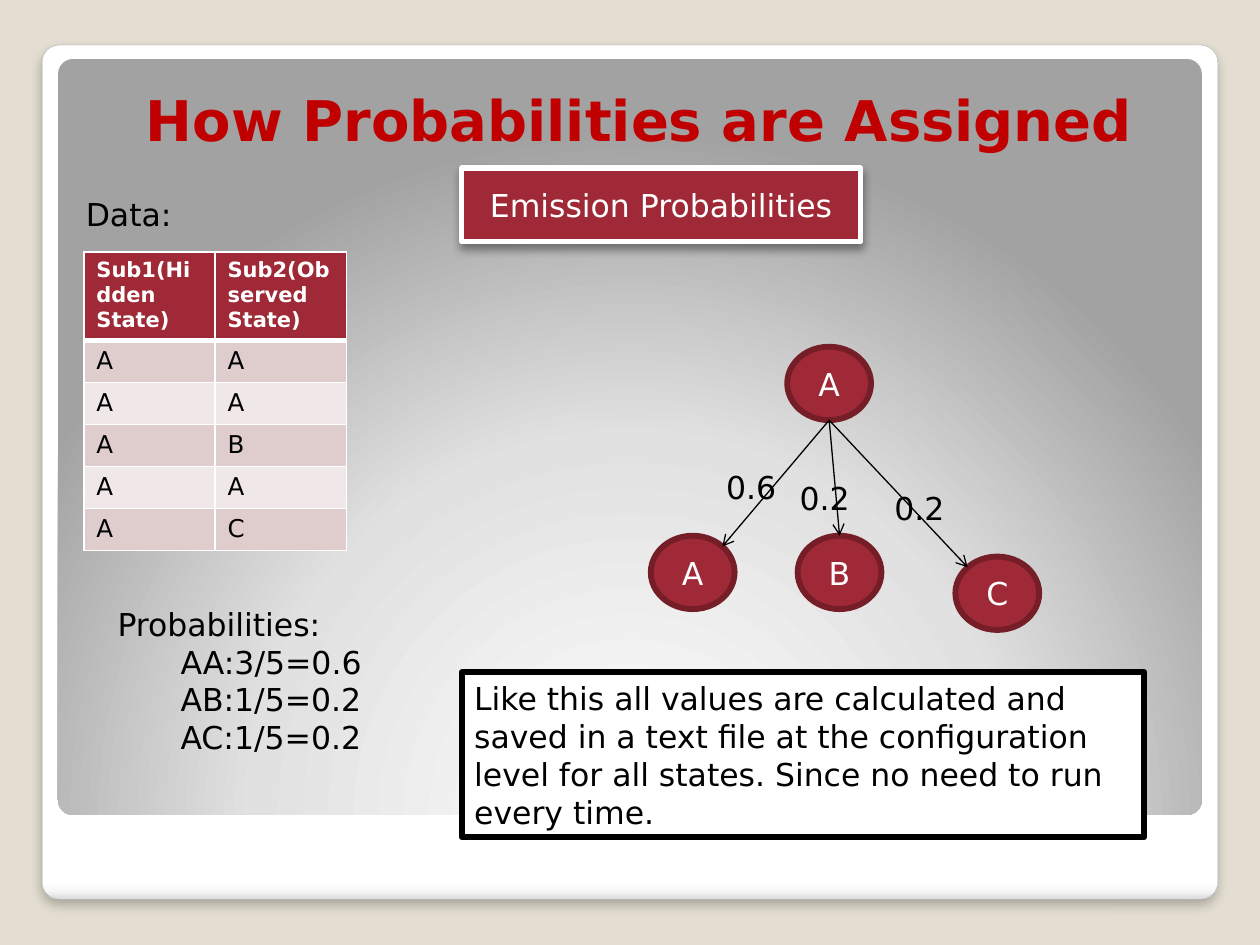
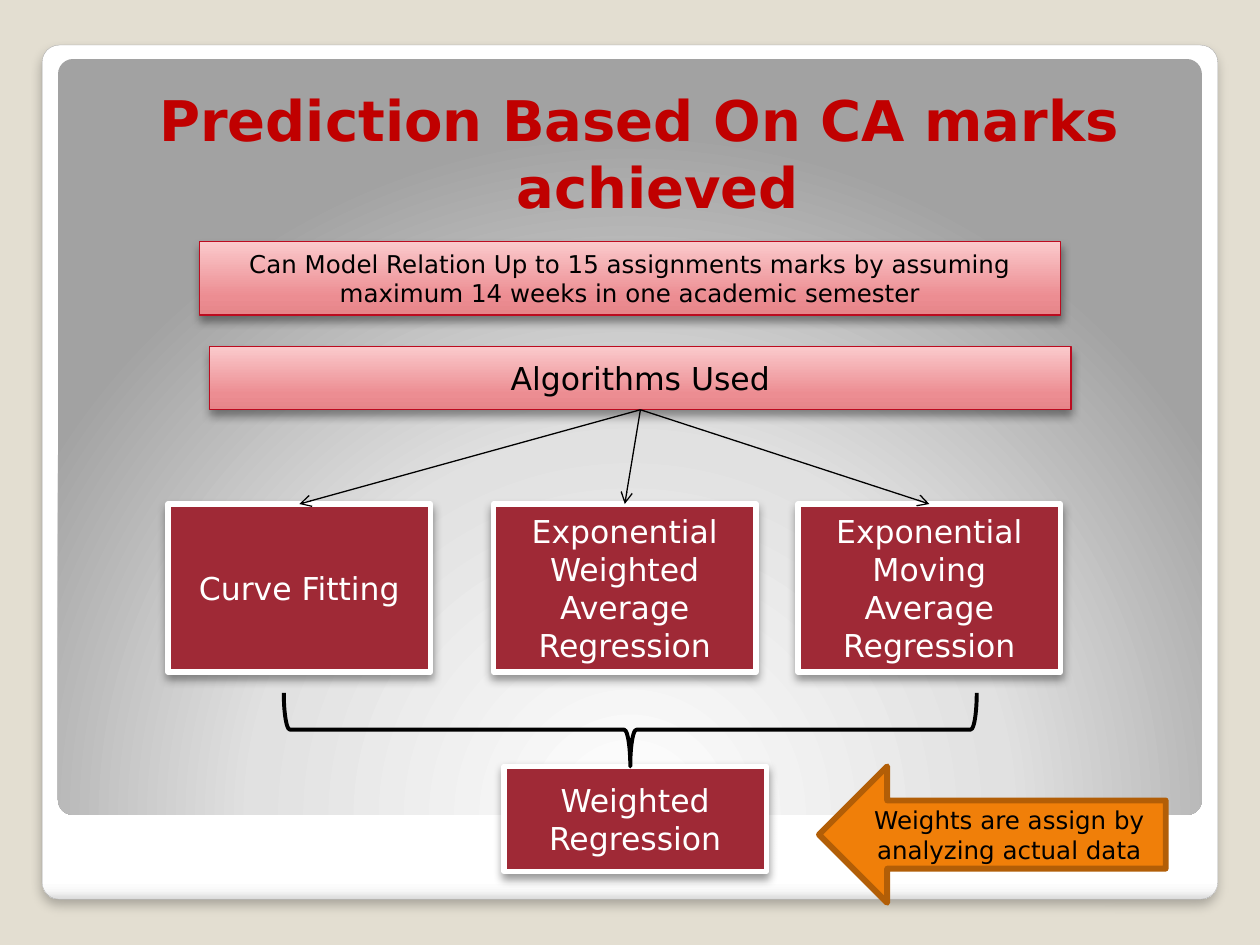
import pptx
import pptx.util
import pptx.dml.color
import pptx.enum.shapes
import pptx.enum.text
import pptx.oxml
import pptx.oxml.ns
import math
import lxml.etree

Cm = pptx.util.Cm
Pt = pptx.util.Pt
SHAPES = pptx.enum.shapes.MSO_SHAPE
ALIGN = pptx.enum.text.PP_ALIGN
ANCHOR = pptx.enum.text.MSO_ANCHOR
qn = pptx.oxml.ns.qn

FONT = "DejaVu Sans"
COLORS = {
    "sand": "E3DED1",
    "white": "FFFFFF",
    "black": "000000",
    "frame_edge": "A4A4A4",
    "title": "C00000",
    "crimson": "9F2936",
    "dark_crimson": "761E28",
    "rose_edge": "BC0B1F",
    "orange": "F07F09",
    "dark_orange": "B25E07",
    "row_odd": "DFCDCE",
    "row_even": "F0E8E8",
}
FRAME_STOPS = [(0, "FFFFFF"), (98, "FFFFFF"), (99, "F7F7F7"), (100, "DADADA")]
PANEL_STOPS = [(0, "FFFFFF"), (55, "E1E1E1"), (100, "A2A2A2")]
ROSE_STOPS = [(0, "E68589"), (25, "EC8D92"), (100, "FBCACC")]
PANEL_GLOW = ('<a:path path="circle">'
              '<a:fillToRect l="50000" t="175000" r="50000" b="-75000"/></a:path>')
FRAME_SHADOW = (25, 6, 4)
CARD_SHADOW = (40, 5.2, 3)


def color(name):
    return pptx.dml.color.RGBColor.from_string(COLORS[name])


def drawing(tag, body, attributes=""):
    space = "http://schemas.openxmlformats.org/drawingml/2006/main"
    return pptx.oxml.parse_xml(f'<a:{tag} xmlns:a="{space}" {attributes}>{body}</a:{tag}>')


def linear(degrees):
    return f'<a:lin ang="{degrees * 60000}" scaled="0"/>'


def paint_gradient(shape, stops, direction):
    shape.fill.background()
    marks = "".join(f'<a:gs pos="{at * 1000}"><a:srgbClr val="{tone}"/></a:gs>'
                    for at, tone in stops)
    properties = shape.element.spPr
    gradient = drawing("gradFill", f"<a:gsLst>{marks}</a:gsLst>{direction}", 'rotWithShape="1"')
    properties.replace(properties.find(qn("a:noFill")), gradient)


def cast_shadow(shape, alpha, blur, distance):
    tone = f'<a:srgbClr val="{COLORS["black"]}"><a:alpha val="{alpha * 1000}"/></a:srgbClr>'
    shadow = drawing("outerShdw", tone,
                     f'blurRad="{Pt(blur)}" dist="{Pt(distance)}" dir="5400000" rotWithShape="0"')
    shape.element.spPr.find(qn("a:effectLst")).append(shadow)


def write(frame, lines, size, tone, align=ALIGN.LEFT, bold=False):
    frame.word_wrap = True
    for number, line in enumerate(lines):
        para = frame.paragraphs[0] if number == 0 else frame.add_paragraph()
        para.text = line
        para.alignment = align
        para.font.name = FONT
        para.font.size = Pt(size)
        para.font.bold = bold
        para.font.color.rgb = color(tone)


def indent(para, left, first=0):
    properties = para._p.get_or_add_pPr()
    properties.set("marL", str(Cm(left)))
    properties.set("indent", str(Cm(first)))


def add_text(page, box, lines, size=18, tone="black", **style):
    text_box = page.shapes.add_textbox(*map(Cm, box))
    write(text_box.text_frame, lines, size, tone, **style)
    return text_box.text_frame


def add_block(page, box, kind, fill=None, line=None, width=1, stops=None, direction=None,
              shadow=None, text=None, size=18, tone="white", align=ALIGN.CENTER):
    shape = page.shapes.add_shape(kind, *map(Cm, box))
    shape.shadow.inherit = False
    if stops:
        paint_gradient(shape, stops, direction)
    elif fill:
        shape.fill.solid()
        shape.fill.fore_color.rgb = color(fill)
    else:
        shape.fill.background()
    if line:
        shape.line.color.rgb = color(line)
        shape.line.width = Pt(width)
    else:
        shape.line.fill.background()
    if shadow:
        cast_shadow(shape, *shadow)
    if text:
        shape.text_frame.vertical_anchor = ANCHOR.MIDDLE
        write(shape.text_frame, [text], size, tone, align)
    return shape


def add_card(page, box, text):
    add_block(page, box, SHAPES.RECTANGLE, "crimson", "white", 3,
              shadow=CARD_SHADOW, text=text)


def add_banner(page, box, text, size):
    add_block(page, box, SHAPES.RECTANGLE, line="rose_edge", width=0.75, stops=ROSE_STOPS,
              direction=linear(270), shadow=CARD_SHADOW, text=text, size=size, tone="black")


def add_arrow(page, start, end):
    arrow = page.shapes.add_connector(pptx.enum.shapes.MSO_CONNECTOR.STRAIGHT,
                                      *map(Cm, start + end))
    arrow.line.color.rgb = color("black")
    arrow.line.width = Pt(0.75)
    properties = arrow.element.spPr
    properties.find(qn("a:ln")).append(drawing("tailEnd", "", 'type="arrow"'))
    lxml.etree.SubElement(properties, qn("a:effectLst"))


def start_page(deck, title):
    page = deck.slides.add_slide(deck.slide_layouts[6])
    page.background.fill.solid()
    page.background.fill.fore_color.rgb = color("sand")
    frame = add_block(page, (0.85, 0.91, 23.7, 17.22), SHAPES.ROUNDED_RECTANGLE,
                      line="frame_edge", width=0.16, stops=FRAME_STOPS,
                      direction=linear(90), shadow=FRAME_SHADOW)
    panel = add_block(page, (1.17, 1.19, 23.06, 15.24), SHAPES.ROUNDED_RECTANGLE,
                      stops=PANEL_STOPS, direction=PANEL_GLOW)
    for plate in (frame, panel):
        plate.adjustments[0] = 0.02
    heading = add_text(page, (1.4, 1.47, 22.73, 14.83), [title], 32, "title",
                       align=ALIGN.CENTER, bold=True)
    heading.margin_left, heading.margin_top = Cm(0.51), Cm(0.25)
    heading.paragraphs[0].space_before = Pt(2.5)
    indent(heading.paragraphs[0], 0.74, -0.74)
    return page


def border_cell(cell, bottom):
    properties = cell._tc.get_or_add_tcPr()
    widths = {"lnL": 1, "lnR": 1, "lnT": 1, "lnB": bottom}
    for place, (side, width) in enumerate(widths.items()):
        fill = f'<a:solidFill><a:srgbClr val="{COLORS["white"]}"/></a:solidFill>'
        properties.insert(place, drawing(side, fill, f'w="{Pt(width)}"'))


def draw_data(page, box):
    left, top, width, height = box
    add_text(page, (left, top, 6.35, 1.02), ["Data:"])
    rows = [("Sub1(Hidden State)", "Sub2(Observed State)")]
    rows += [("A", observed) for observed in "AABAC"]
    table = page.shapes.add_table(len(rows), 2, Cm(left + 0.21), Cm(top + 1.27),
                                  Cm(width), Cm(height)).table
    for column in table.columns:
        column.width = Cm(width / 2)
    for number, values in enumerate(rows):
        header = number == 0
        table.rows[number].height = Cm(1.02 if header else 0.81)
        fill = "crimson" if header else ("row_even", "row_odd")[number % 2]
        for cell, value in zip(table.rows[number].cells, values):
            cell.fill.solid()
            cell.fill.fore_color.rgb = color(fill)
            border_cell(cell, 3 if header else 1)
            write(cell.text_frame, [value], 12 if header else 14,
                  "white" if header else "black", bold=header)


def draw_emission_tree(page, box):
    left, top, width, height = box
    node_width, node_height = 1.69, 1.48
    low = height - node_height
    root = (left + 2.75, top)
    diagonal = math.sqrt(0.5)
    leaves = [
        ("A", 0, low - 0.42, diagonal, -diagonal, "0.6", 1.27, 2.33),
        ("B", 2.96, low - 0.42, 0, -1, "0.2", 2.75, 2.54),
        ("C", width - node_width, low, -diagonal, -diagonal, "0.2", 4.66, 2.75),
    ]
    nodes = [("A", *root)] + [(leaf[0], left + leaf[1], top + leaf[2]) for leaf in leaves]
    for name, x, y in nodes:
        add_block(page, (x, y, node_width, node_height), SHAPES.OVAL,
                  "crimson", "dark_crimson", 3.35, text=name)
    start = (root[0] + node_width / 2, top + node_height)
    for name, x, y, across, down, chance, label_x, label_y in leaves:
        end = (left + x + node_width / 2 * (1 + across),
               top + y + node_height / 2 * (1 + down))
        add_arrow(page, start, end)
        add_text(page, (left + label_x, top + label_y, 1.91, 1.02), [chance])


def draw_probabilities(page, box):
    frame = add_text(page, box, ["Probabilities:", "AA:3/5=0.6", "AB:1/5=0.2", "AC:1/5=0.2"])
    for para in frame.paragraphs[1:]:
        indent(para, 1.27)


def draw_algorithms(page, box):
    left, top, width, height = box
    banner_left, banner_height = left + 0.84, 1.27
    card_width, card_height = 5.29, 3.39
    card_top = top + height - card_height
    add_banner(page, (banner_left, top, 17.36, banner_height), "Algorithms Used", 18)
    start = (banner_left + 17.36 / 2, top + banner_height)
    cards = [
        (0, "Curve Fitting"),
        (6.56, "Exponential Weighted Average Regression"),
        (width - card_width, "Exponential Moving Average Regression"),
    ]
    for x, text in cards:
        add_card(page, (left + x, card_top, card_width, card_height), text)
    for x, text in cards:
        add_arrow(page, start, (left + x + card_width / 2, card_top))


def draw_brace(page, box):
    left, top, width, height = box
    shift = (width - height) / 2
    brace = add_block(page, (left + shift, top - shift, height, width), SHAPES.RIGHT_BRACE,
                      line="black", width=2.25)
    brace.rotation = 90


def build_emission_page(deck):
    page = start_page(deck, "How Probabilities are Assigned")
    add_card(page, (9.31, 3.39, 8.04, 1.48), "Emission Probabilities")
    draw_emission_tree(page, (13.12, 6.99, 7.83, 5.71))
    draw_data(page, (1.48, 3.81, 5.29, 6.02))
    draw_probabilities(page, (2.12, 12.07, 6.14, 3.33))
    add_block(page, (9.31, 13.55, 13.76, 3.33), SHAPES.RECTANGLE, "white", "black", 3.35,
              text="Like this all values are calculated and saved in a text file at the "
                   "configuration level for all states. Since no need to run every time.",
              tone="black", align=ALIGN.LEFT)


def build_prediction_page(deck):
    page = start_page(deck, "Prediction Based On CA marks achieved")
    add_banner(page, (4.02, 4.87, 17.36, 1.48),
               "Can Model Relation Up to 15 assignments marks by assuming "
               "maximum 14 weeks in one academic semester", 14)
    draw_algorithms(page, (3.39, 6.99, 17.99, 6.56))
    add_card(page, (10.16, 15.45, 5.29, 2.12), "Weighted Regression")
    draw_brace(page, (5.72, 13.97, 13.97, 1.48))
    add_block(page, (16.51, 15.45, 6.99, 2.75), SHAPES.LEFT_ARROW,
              "orange", "dark_orange", 3.35,
              text="Weights are assign by analyzing actual data", size=14, tone="black")


def main():
    deck = pptx.Presentation()
    deck.slide_width, deck.slide_height = Cm(25.4), Cm(19.05)
    build_emission_page(deck)
    build_prediction_page(deck)
    deck.save("out.pptx")


if __name__ == "__main__":
    main()
